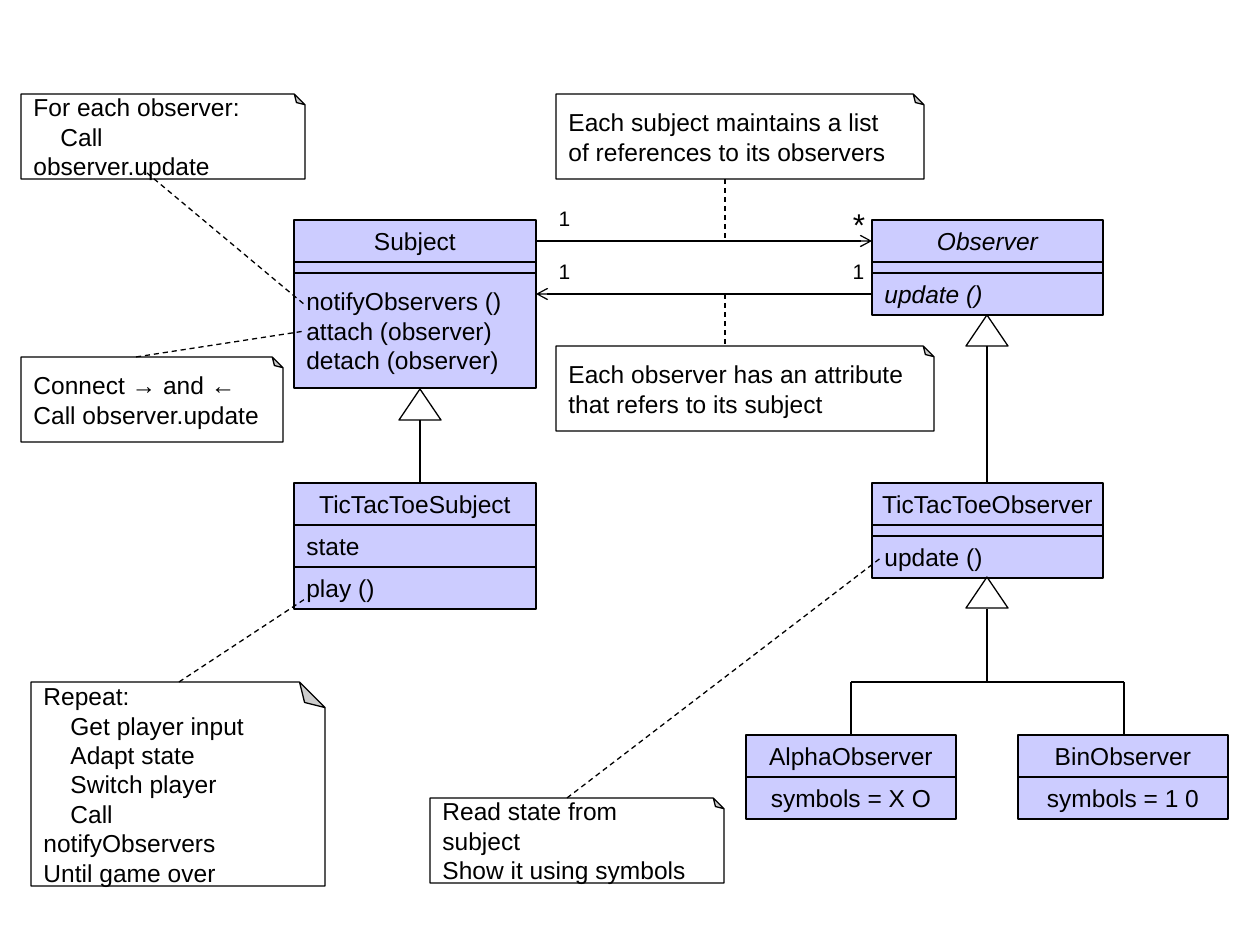
from lxml.etree import SubElement
from pptx import Presentation
from pptx.dml.color import RGBColor
from pptx.enum.dml import MSO_LINE as Dash
from pptx.enum.shapes import MSO_CONNECTOR as Connector, MSO_SHAPE as Shape
from pptx.enum.text import MSO_ANCHOR as Anchor, MSO_AUTO_SIZE as AutoSize, PP_ALIGN as Align
from pptx.oxml.ns import qn
from pptx.util import Pt

EMU_PER_PIXEL = 914400 / 126
INK, PAPER, LILAC = "000000", "FFFFFF", "CCCCFF"
ROW, GAP, INDENT = 42, 11, 27

CLASSES = [
    (294, 220, 242, [(ROW, ["Subject"], Align.CENTER), (GAP, [], None),
                     (115, ["notifyObservers ()", "attach (observer)", "detach (observer)"], Align.LEFT)], False),
    (872, 220, 231, [(ROW, ["Observer"], Align.CENTER), (GAP, [], None),
                     (ROW, ["update ()"], Align.LEFT)], True),
    (294, 483, 242, [(ROW, ["TicTacToeSubject"], Align.CENTER), (ROW, ["state"], Align.LEFT),
                     (ROW, ["play ()"], Align.LEFT)], False),
    (872, 483, 231, [(ROW, ["TicTacToeObserver"], Align.CENTER), (GAP, [], None),
                     (ROW, ["update ()"], Align.LEFT)], False),
    (746, 735, 210, [(ROW, ["AlphaObserver"], Align.CENTER), (ROW, ["symbols = X O"], Align.CENTER)], False),
    (1018, 735, 210, [(ROW, ["BinObserver"], Align.CENTER), (ROW, ["symbols = 1 0"], Align.CENTER)], False),
]
NOTES = [
    (21, 94, 284, 85, ["For each observer:", "\tCall observer.update"]),
    (556, 94, 368, 85, ["Each subject maintains a list of references to its observers"]),
    (21, 357, 262, 85, ["Connect → and ←", "Call observer.update"]),
    (556, 346, 378, 85, ["Each observer has an attribute that refers to its subject"]),
    (31, 682, 294, 204, ["Repeat:", "\tGet player input", "\tAdapt state", "\tSwitch player",
                         "\tCall notifyObservers", "Until game over"]),
    (430, 798, 294, 85, ["Read state from subject", "Show it using symbols"]),
]
TRIANGLES = [(399, 389), (966, 315), (966, 577)]
ARROWS = [(536, 241, 872, 241), (872, 294, 536, 294)]
INHERITANCE = [
    (420, 420, 420, 483), (987, 346, 987, 483), (987, 609, 987, 682),
    (851, 682, 1124, 682), (851, 682, 851, 735), (1124, 682, 1124, 735),
]
NOTE_LINKS = [
    (147, 173, 305, 305), (136, 357, 305, 331), (725, 179, 725, 241),
    (725, 294, 725, 346), (179, 682, 305, 599), (567, 798, 882, 557),
]
LABELS = [
    (546, 199, 37, 38, "1", 12), (840, 199, 38, 50, "*", 18),
    (546, 252, 37, 38, "1", 12), (840, 252, 37, 38, "1", 12),
]


def px(length):
    return round(length * EMU_PER_PIXEL)


def colour(value):
    return RGBColor.from_string(value)


def write(frame, lines, align, size=14, italic=False):
    for index, line in enumerate(lines):
        para = frame.paragraphs[0] if index == 0 else frame.add_paragraph()
        para.text = line.lstrip("\t")
        para.alignment = align
        para.font.name = "Arial"
        para.font.size = Pt(size)
        para.font.italic = italic
        para.font.color.rgb = colour(INK)
        if line.startswith("\t"):
            properties = para._p.get_or_add_pPr()
            properties.set("marL", "0")
            properties.set("indent", str(px(INDENT)))


def add_box(page, kind, x, y, width, height, fill=None):
    box = page.shapes.add_shape(kind, px(x), px(y), px(width), px(height))
    box.shadow.inherit = False
    if fill:
        box.fill.solid()
        box.fill.fore_color.rgb = colour(fill)
    else:
        box.fill.background()
    box.line.color.rgb = colour(INK)
    box.line.width = Pt(0.75)
    return box


def add_class(page, x, y, width, rows, italic):
    for height, lines, align in rows:
        box = add_box(page, Shape.RECTANGLE, x, y, width, height, LILAC)
        box.text_frame.word_wrap = False
        box.text_frame.vertical_anchor = Anchor.MIDDLE
        write(box.text_frame, lines, align, italic=italic)
        y += height


def add_note(page, x, y, width, height, lines):
    shift = (width - height) / 2
    box = add_box(page, Shape.FOLDED_CORNER, x + shift, y - shift, height, width, PAPER)
    box.rotation = 270
    guides = box._element.spPr.prstGeom.get_or_add_avLst()
    SubElement(guides, qn("a:gd"), name="adj", fmla="val 12500")
    frame = box.text_frame
    frame.word_wrap = True
    frame.vertical_anchor = Anchor.MIDDLE
    frame.auto_size = AutoSize.SHAPE_TO_FIT_TEXT
    frame._txBody.bodyPr.set("vert", "eaVert")
    write(frame, lines, Align.LEFT)


def add_label(page, x, y, width, height, text, size):
    box = page.shapes.add_textbox(px(x), px(y), px(width), px(height))
    box.text_frame.word_wrap = False
    box.text_frame.auto_size = AutoSize.SHAPE_TO_FIT_TEXT
    write(box.text_frame, [text], Align.CENTER, size)


def add_line(page, ends, dashed=False, arrow=False):
    link = page.shapes.add_connector(Connector.STRAIGHT, *map(px, ends))
    link.line.color.rgb = colour(INK)
    link.line.width = Pt(0.75)
    if dashed:
        link.line.dash_style = Dash.DASH
    if arrow:
        SubElement(link.line._get_or_add_ln(), qn("a:tailEnd"), type="arrow")
    SubElement(link._element.spPr, qn("a:effectLst"))


def main():
    deck = Presentation()
    deck.slide_width, deck.slide_height = px(1260), px(945)
    page = deck.slides.add_slide(deck.slide_layouts[6])
    for item in CLASSES:
        add_class(page, *item)
    for note in NOTES:
        add_note(page, *note)
    for x, y in TRIANGLES:
        add_box(page, Shape.ISOSCELES_TRIANGLE, x, y, 42, 31)
    for ends in INHERITANCE:
        add_line(page, ends)
    for ends in ARROWS:
        add_line(page, ends, arrow=True)
    for ends in NOTE_LINKS:
        add_line(page, ends, dashed=True)
    for label in LABELS:
        add_label(page, *label)
    deck.save("out.pptx")


main()
